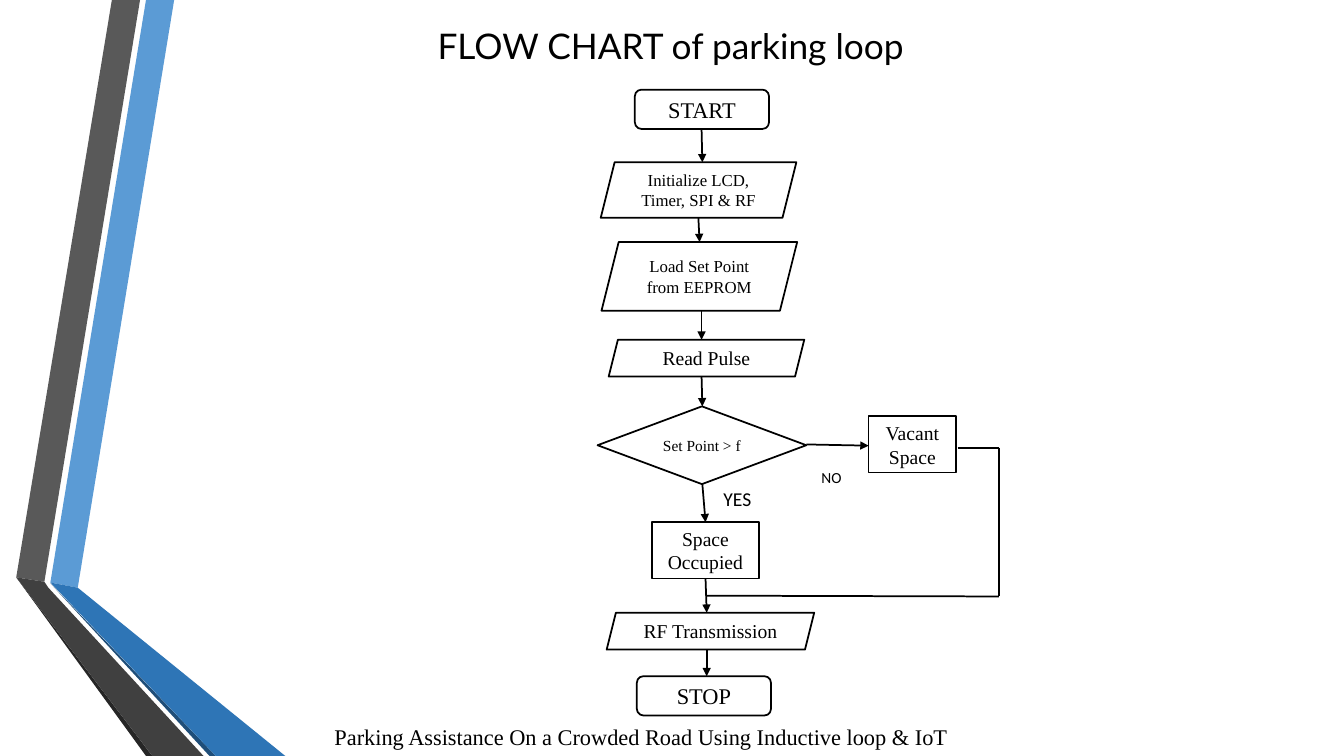
from collections import namedtuple
from itertools import pairwise

from lxml.etree import SubElement
from pptx import Presentation
from pptx.dml.color import RGBColor
from pptx.enum.shapes import MSO_CONNECTOR, MSO_SHAPE
from pptx.enum.text import MSO_ANCHOR, MSO_AUTO_SIZE, PP_ALIGN
from pptx.oxml.ns import qn
from pptx.util import Cm, Pt

BLACK = RGBColor(0x00, 0x00, 0x00)
WHITE = RGBColor(0xFF, 0xFF, 0xFF)
SKY = RGBColor(0x5B, 0x9B, 0xD5)
BLUE = RGBColor(0x2E, 0x75, 0xB6)
NAVY = RGBColor(0x1F, 0x4E, 0x79)
GREY = RGBColor(0x59, 0x59, 0x59)
CHARCOAL = RGBColor(0x40, 0x40, 0x40)
SOOT = RGBColor(0x26, 0x26, 0x26)

SERIF = "Times New Roman"
LINE_WIDTH = Pt(1.25)

# All box lengths are centimetres
Box = namedtuple("Box", "left top width height")
Node = namedtuple("Node", "kind box size text")

TERMINAL = MSO_SHAPE.FLOWCHART_ALTERNATE_PROCESS
DATA = MSO_SHAPE.PARALLELOGRAM
DECISION = MSO_SHAPE.DIAMOND
PROCESS = MSO_SHAPE.RECTANGLE

MAIN_STEPS = [
    Node(TERMINAL, Box(0.94, 0, 3.38, 0.99), 16, "START"),
    Node(DATA, Box(0.08, 1.83, 4.93, 1.4), 12, "Initialize LCD, Timer, SPI & RF"),
    Node(DATA, Box(0.1, 3.84, 4.93, 1.73), 12, "Load Set Point from EEPROM"),
    Node(DATA, Box(0.28, 6.3, 4.93, 0.93), 14, "Read Pulse"),
    Node(DECISION, Box(0, 7.98, 5.26, 1.96), 11, "Set Point > f"),
    Node(PROCESS, Box(1.37, 10.9, 2.7, 1.42), 14, "Space Occupied"),
    Node(DATA, Box(0.23, 13.18, 5.23, 0.93), 14, "RF Transmission"),
    Node(TERMINAL, Box(0.99, 14.78, 3.38, 0.99), 16, "STOP"),
]
# Start and end x of the arrow from each main step to the next
ARROW_XS = [(2.62, 2.64), (2.54, 2.57), (2.62, 2.62), (2.62, 2.64),
            (2.64, 2.72), (2.72, 2.75), (2.75, 2.75)]
VACANT = Node(PROCESS, Box(6.83, 8.23, 2.21, 1.42), 14, "Vacant Space")
BRANCH_LABELS = [
    Node(PROCESS, Box(5.39, 9.42, 1.22, 0.71), 11, "NO"),
    Node(PROCESS, Box(2.92, 9.88, 1.45, 0.86), 14, "YES"),
]
RETURN_PATH = [(9.07, 9.02), (10.11, 9.02), (10.11, 12.77), (2.75, 12.75)]

RIBBONS = [
    (SKY, [(0.86, 14.68), (1.55, 14.81), (3.98, 0), (3.27, 0)]),
    (GREY, [(3.12, 0), (2.41, 0), (0, 14.55), (0.71, 14.66)]),
    (SOOT, [(0, 14.55), (3.27, 19.05), (3.43, 19.05)]),
    (NAVY, [(0.86, 14.7), (4.87, 19.05), (5.03, 19.05)]),
    (BLUE, [(0.86, 14.68), (5.03, 19.05), (6.78, 19.05), (1.55, 14.81)]),
    (CHARCOAL, [(4.72, 19.05), (0.81, 14.81), (0.71, 14.66), (0, 14.55),
                (3.43, 19.05)]),
]


def lengths(box):
    return [Cm(value) for value in box]


def inside(outer, box):
    """Move a box given relative to outer onto the slide."""
    return box._replace(left=outer.left + box.left, top=outer.top + box.top)


def write(frame, text, font, size, align, anchor):
    frame.word_wrap = True
    frame.vertical_anchor = anchor
    para = frame.paragraphs[0]
    para.alignment = align
    span = para.add_run()
    span.text = text
    span.font.name = font
    span.font.size = Pt(size)
    span.font.color.rgb = BLACK


def add_white_shape(slide, area, node):
    shape = slide.shapes.add_shape(node.kind, *lengths(inside(area, node.box)))
    shape.shadow.inherit = False
    shape.fill.solid()
    shape.fill.fore_color.rgb = WHITE
    return shape


def add_node(slide, area, node):
    shape = add_white_shape(slide, area, node)
    shape.line.color.rgb = BLACK
    shape.line.width = LINE_WIDTH
    write(shape.text_frame, node.text, SERIF, node.size,
          PP_ALIGN.CENTER, MSO_ANCHOR.MIDDLE)


def add_branch_label(slide, area, node):
    shape = add_white_shape(slide, area, node)
    shape.line.fill.background()
    write(shape.text_frame, node.text, "Calibri", node.size,
          PP_ALIGN.LEFT, MSO_ANCHOR.TOP)


def add_line(slide, area, start, end, arrow=False):
    ends = [Cm(area[axis] + point[axis]) for point in (start, end) for axis in (0, 1)]
    line = slide.shapes.add_connector(MSO_CONNECTOR.STRAIGHT, *ends)
    line.line.color.rgb = BLACK
    line.line.width = LINE_WIDTH
    properties = line._element.spPr
    if arrow:
        SubElement(properties.find(qn("a:ln")), qn("a:tailEnd"), type="triangle")
    SubElement(properties, qn("a:effectLst"))


def draw_ribbons(slide, area):
    for color, outline in RIBBONS:
        points = [(Cm(area.left + x), Cm(area.top + y)) for x, y in outline]
        builder = slide.shapes.build_freeform(*points[0])
        builder.add_line_segments(points[1:], close=True)
        ribbon = builder.convert_to_shape()
        ribbon.shadow.inherit = False
        ribbon.fill.solid()
        ribbon.fill.fore_color.rgb = color
        ribbon.line.fill.background()


def draw_title(slide, area):
    title = slide.shapes.title
    title.left, title.top, title.width, title.height = lengths(area)
    frame = title.text_frame
    frame.auto_size = MSO_AUTO_SIZE.NONE
    frame.margin_right = Cm(7.6)
    write(frame, "FLOW CHART of parking loop", "Lato", 25.2,
          PP_ALIGN.CENTER, MSO_ANCHOR.BOTTOM)


def draw_flow_chart(slide, area):
    for node in MAIN_STEPS + [VACANT]:
        add_node(slide, area, node)
    for label in BRANCH_LABELS:
        add_branch_label(slide, area, label)
    for (step, following), (start_x, end_x) in zip(pairwise(MAIN_STEPS), ARROW_XS):
        bottom = step.box.top + step.box.height
        add_line(slide, area, (start_x, bottom), (end_x, following.box.top), arrow=True)
    add_line(slide, area, (5.26, 8.94), (VACANT.box.left, 8.97), arrow=True)
    for start, end in pairwise(RETURN_PATH):
        add_line(slide, area, start, end)


def draw_footer(slide, area):
    footer = slide.shapes.add_textbox(*lengths(area))
    write(footer.text_frame,
          "Parking Assistance On a Crowded Road Using Inductive loop & IoT",
          SERIF, 16, PP_ALIGN.LEFT, MSO_ANCHOR.MIDDLE)


def main():
    deck = Presentation()
    deck.slide_width, deck.slide_height = Cm(33.87), Cm(19.05)
    slide = deck.slides.add_slide(deck.slide_layouts[5])
    draw_ribbons(slide, Box(0.41, 0, 6.78, 19.05))
    draw_title(slide, Box(7.29, 0, 26.57, 1.8))
    draw_flow_chart(slide, Box(15.06, 2.26, 10.14, 15.77))
    draw_footer(slide, Box(8.18, 18.08, 24.82, 0.94))
    deck.save("out.pptx")


if __name__ == "__main__":
    main()
